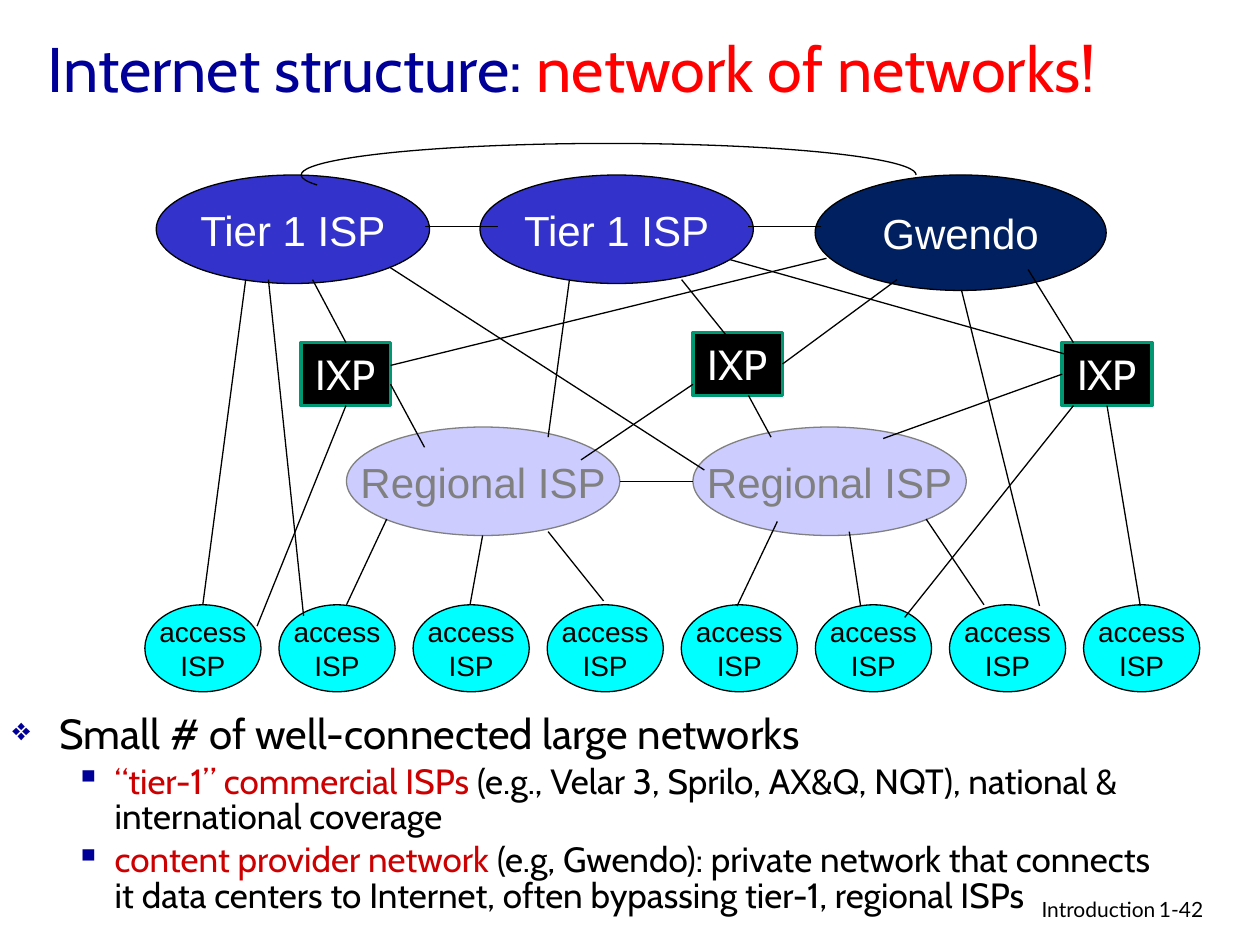
from pptx import Presentation
from pptx.dml.color import RGBColor
from pptx.enum.shapes import MSO_CONNECTOR, MSO_SHAPE
from pptx.enum.text import MSO_ANCHOR, MSO_AUTO_SIZE, PP_ALIGN
from pptx.oxml.ns import qn
from pptx.util import Pt
from lxml import etree

BLACK = RGBColor(0x00, 0x00, 0x00)
WHITE = RGBColor(0xFF, 0xFF, 0xFF)
NAVY = RGBColor(0x00, 0x00, 0x99)
RED = RGBColor(0xFF, 0x00, 0x00)
DARK_RED = RGBColor(0xCC, 0x00, 0x00)
CYAN = RGBColor(0x00, 0xFF, 0xFF)
LILAC = RGBColor(0xCC, 0xCC, 0xFF)
GRAY = RGBColor(0x80, 0x80, 0x80)
BLUE = RGBColor(0x33, 0x33, 0xCC)
DARK_BLUE = RGBColor(0x00, 0x20, 0x60)
GREEN = RGBColor(0x00, 0x97, 0x71)


def add_run(p, text, font, size, color):
    r = p.add_run()
    r.text = text
    r.font.name = font
    r.font.size = Pt(size)
    r.font.color.rgb = color


def add_node(kind, x, y, w, h, lines, font, size, fill, line, color, weight=0.75):
    """Draw a network node with one centred paragraph per line of text."""
    sp = s.shapes.add_shape(kind, Pt(x), Pt(y), Pt(w), Pt(h))
    sp.shadow.inherit = False
    sp.fill.solid()
    sp.fill.fore_color.rgb = fill
    sp.line.color.rgb = line
    sp.line.width = Pt(weight)
    tf = sp.text_frame
    tf.word_wrap = False
    tf.vertical_anchor = MSO_ANCHOR.MIDDLE
    for i, text in enumerate(lines):
        p = tf.add_paragraph() if i else tf.paragraphs[0]
        p.alignment = PP_ALIGN.CENTER
        add_run(p, text, font, size, color)
    return sp


prs = Presentation()
prs.slide_width, prs.slide_height = Pt(720), Pt(540)
s = prs.slides.add_slide(prs.slide_layouts[5])

# Title
title = s.shapes.title
title.left, title.top, title.width, title.height = Pt(20.2), Pt(13), Pt(637), Pt(51)
tf = title.text_frame
tf.auto_size = MSO_AUTO_SIZE.NONE
tf.vertical_anchor = MSO_ANCHOR.MIDDLE
p = tf.paragraphs[0]
p.alignment = PP_ALIGN.LEFT
add_run(p, "Internet structure: ", "Cabin", 36, NAVY)
add_run(p, "network of networks!", "Cabin", 36, RED)

# Bulleted text: level, indent, hanging, bullet, bullet size, space before, runs
bullets = [
    (0, 27, 27, "❖", 75, 0, 24, [("Small # of well-connected large networks", BLACK)]),
    (1, 58.5, 22.5, "▪", 100, 4, 20, [
        ("“tier-1” commercial ISPs ", DARK_RED),
        ("(e.g., Velar 3, Sprilo, AX&Q, NQT), national & international coverage", BLACK)]),
    (1, 58.5, 22.5, "▪", 100, 4, 20, [
        ("content provider network ", DARK_RED),
        ("(e.g, Gwendo): private network that connects it data centers to Internet, "
         "often bypassing tier-1, regional ISPs", BLACK)]),
]
tf = s.shapes.add_textbox(Pt(0), Pt(405.4), Pt(664.6), Pt(134)).text_frame
tf.word_wrap = True
for i, (level, indent, hanging, char, percent, before, size, runs) in enumerate(bullets):
    p = tf.add_paragraph() if i else tf.paragraphs[0]
    p.level = level
    p.line_spacing = 0.85
    p.space_before = Pt(before)
    pPr = p._p.get_or_add_pPr()
    pPr.set("marL", str(Pt(indent)))
    pPr.set("indent", str(-Pt(hanging)))
    bu_clr = etree.SubElement(pPr, qn("a:buClr"))
    etree.SubElement(bu_clr, qn("a:srgbClr"), val=str(NAVY))
    etree.SubElement(pPr, qn("a:buSzPct"), val=str(percent * 1000))
    etree.SubElement(pPr, qn("a:buChar"), char=char)
    for text, color in runs:
        add_run(p, text, "Cabin", size, color)

# Footer and slide number
for x, w, align, text in [(439.2, 228.2, PP_ALIGN.RIGHT, "Introduction"),
                          (655.2, 53.3, PP_ALIGN.LEFT, "1-42")]:
    tf = s.shapes.add_textbox(Pt(x), Pt(509), Pt(w), Pt(22)).text_frame
    tf.word_wrap = True
    p = tf.paragraphs[0]
    p.alignment = align
    add_run(p, text, "Lato", 12, BLACK)

# Networks
for i in range(8):
    add_node(MSO_SHAPE.OVAL, 82.8 + 76.63 * i, 345.6, 66.4, 49.7,
             ["access", "ISP"], "Arial", 16, CYAN, BLACK, BLACK)
for x in (198, 396):
    add_node(MSO_SHAPE.OVAL, x, 244, 156.2, 62,
             ["Regional ISP"], "Arial", 24, LILAC, GRAY, GRAY)
for x in (89.3, 274.3):
    add_node(MSO_SHAPE.OVAL, x, 100, 156.2, 62,
             ["Tier 1 ISP"], "Arial", 24, BLUE, BLACK, WHITE)
add_node(MSO_SHAPE.OVAL, 465.8, 100, 166.3, 66,
         ["Gwendo"], "Arial", 24, DARK_BLUE, BLACK, WHITE)
ixp_left, ixp_mid, ixp_right = [
    add_node(MSO_SHAPE.RECTANGLE, x, y, 51.2, 36,
             ["IXP"], "Cabin", 24, BLACK, GREEN, WHITE, 2)
    for x, y in [(172.1, 195.8), (396, 190), (607, 195.8)]]

arc = s.shapes.add_shape(MSO_SHAPE.ARC, Pt(172.1), Pt(82), Pt(351.4), Pt(36))
arc.adjustments[0], arc.adjustments[1] = 106.82, 0
arc.shadow.inherit = False
arc.fill.background()
arc.line.color.rgb = BLACK
arc.line.width = Pt(0.75)

# Links: x1, y1, x2, y2
links = [
    # between networks of the same tier
    (396, 275, 354.2, 275), (284.4, 129.6, 242.6, 129.6), (469.4, 129.6, 427.7, 129.6),
    # large networks down to regional and access networks
    (140.4, 159.8, 115.9, 345.6), (153.4, 159.8, 173.5, 352), (549.4, 165.6, 594, 346.3),
    (325.4, 159.8, 313.2, 249.8), (222.5, 152.6, 402.5, 268.6),
    # regional networks down to access networks
    (275.8, 306, 268.6, 345.6), (221, 296.6, 198, 345.6), (313.2, 303.8, 344.9, 343.4),
    (444.2, 298, 421.2, 346.3), (485.3, 303.8, 491.8, 346.3), (529.2, 296.6, 562.3, 345.6),
    # large networks to exchange points
    (587.5, 154, 613.4, 195.8), (472.3, 147.6, 223.2, 208.8),
    (389.5, 159.8, 421.2, 199.4), (416.9, 148.3, 608.4, 202.3),
    # exchange points down to regional and access networks
    (223.2, 219.6, 242.6, 255.6), (427.7, 226, 440.6, 249.8),
    (396, 219.6, 332, 262.8), (613.4, 231.8, 517, 352.8),
]
# Links from the middle of a box side: box, side, x2, y2
box_links = [
    (ixp_left, 0, 178.6, 159.8), (ixp_left, 2, 146.9, 357.8),
    (ixp_mid, 3, 512.6, 159.8),
    (ixp_right, 1, 504.7, 250.6), (ixp_right, 2, 651.6, 346.3),
]
connectors = [s.shapes.add_connector(MSO_CONNECTOR.STRAIGHT, *map(Pt, link)) for link in links]
for box, side, x, y in box_links:
    c = s.shapes.add_connector(MSO_CONNECTOR.STRAIGHT, Pt(x), Pt(y), Pt(x), Pt(y))
    c.begin_connect(box, side)
    connectors.append(c)
for c in connectors:
    c.line.color.rgb = BLACK
    c.line.width = Pt(0.75)
    etree.SubElement(c._element.spPr, qn("a:effectLst"))

prs.save("out.pptx")
